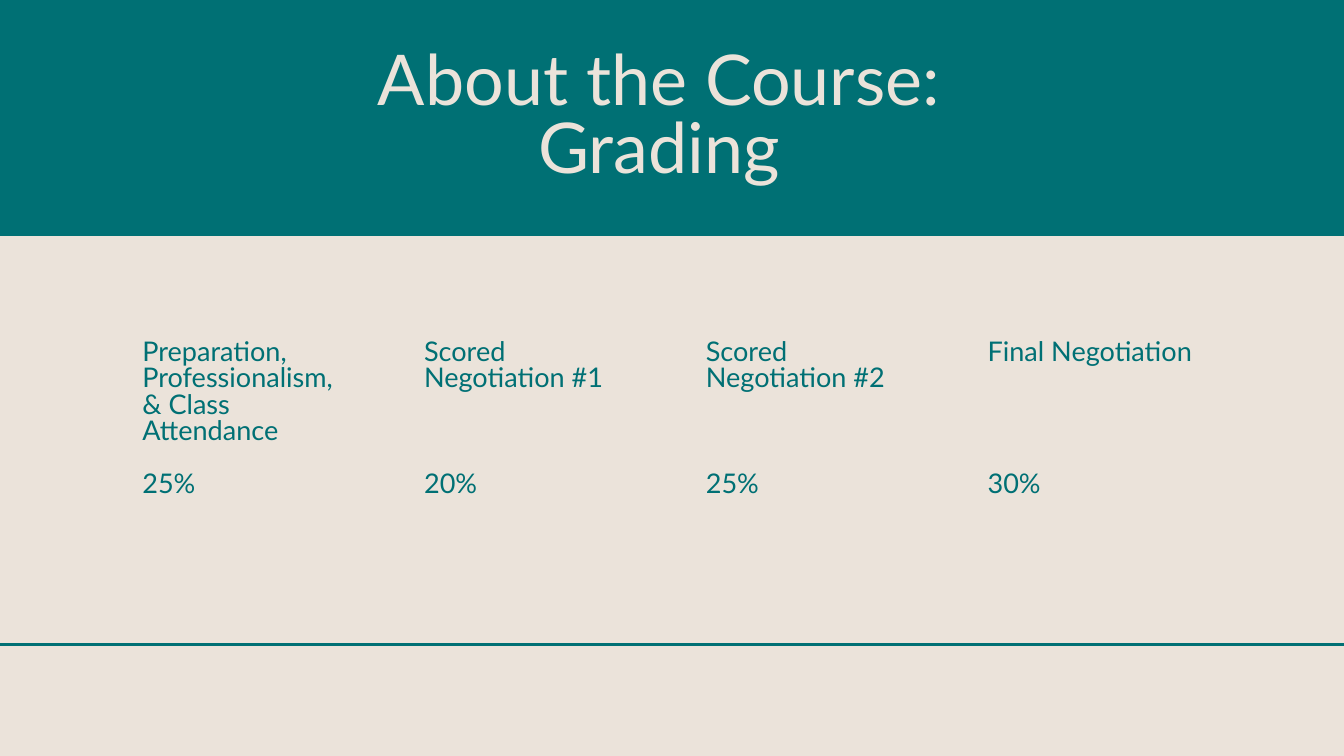
from lxml import etree
from pptx import Presentation
from pptx.dml.color import RGBColor
from pptx.enum.shapes import MSO_CONNECTOR, MSO_SHAPE
from pptx.enum.text import MSO_ANCHOR, PP_ALIGN
from pptx.oxml.ns import qn
from pptx.util import Cm, Pt

RECTANGLE = MSO_SHAPE.RECTANGLE
STRAIGHT = MSO_CONNECTOR.STRAIGHT
TOP = MSO_ANCHOR.TOP
LEFT, CENTER = PP_ALIGN.LEFT, PP_ALIGN.CENTER

TEAL, SAND = "007074", "EBE3DA"
FONT = "Lato"
LINE_PITCH = 28.2  # points between lines in the grading columns
WEIGHT_LINE = 5  # text lines above each percentage
COLUMN_STEP = 10.65

# heading, lines it takes, weight, box height in cm
GRADES = [
    ("Preparation, Professionalism, & Class Attendance", 4, "25%", 7.87),
    ("Scored Negotiation #1", 2, "20%", 5.92),
    ("Scored Negotiation #2", 2, "25%", 5.92),
    ("Final Negotiation", 1, "30%", 5.92),
]


def color(hex_string):
    return RGBColor.from_string(hex_string)


def add_text(slide, box, paragraphs, *, size, pitch, fill, align=LEFT, gap=0):
    """Place paragraphs in a text box; gap is the space between them in points."""
    shape = slide.shapes.add_textbox(*(Cm(value) for value in box))
    frame = shape.text_frame
    frame.word_wrap = True
    frame.vertical_anchor = TOP
    frame.margin_left = frame.margin_right = 0
    frame.margin_top = frame.margin_bottom = 0
    for index, text in enumerate(paragraphs):
        paragraph = frame.add_paragraph() if index else frame.paragraphs[0]
        paragraph.alignment = align
        paragraph.line_spacing = Pt(pitch)
        paragraph.space_before = Pt(gap if index else 0)
        run = paragraph.add_run()
        run.text = text
        run.font.name = FONT
        run.font.size = Pt(size)
        run.font.color.rgb = color(fill)
    return shape


def add_header(slide, left, top, width, height):
    # Band across the top
    band = slide.shapes.add_shape(RECTANGLE, Cm(left), Cm(top), Cm(width), Cm(height))
    band.shadow.inherit = False
    band.fill.solid()
    band.fill.fore_color.rgb = color(TEAL)
    band.line.fill.background()
    # Title
    add_text(slide, (left + 8.97, top + 2.29, 32.99, 5.26),
             ["About the Course:", "Grading"],
             size=75, pitch=72.8, fill=SAND, align=CENTER)


def add_grades(slide, left, top, width):
    for index, (heading, lines, weight, height) in enumerate(GRADES):
        # The gap brings every percentage to the same line
        add_text(slide, (left + index * COLUMN_STEP, top, width, height),
                 [heading, weight], size=29, pitch=LINE_PITCH, fill=TEAL,
                 gap=(WEIGHT_LINE - lines) * LINE_PITCH)


def add_footer_rule(slide, left, top, width):
    rule = slide.shapes.add_connector(
        STRAIGHT, Cm(left), Cm(top), Cm(left + width), Cm(top))
    rule.line.color.rgb = color(TEAL)
    rule.line.width = Pt(3.75)
    etree.SubElement(rule.line._get_or_add_ln().getparent(), qn("a:effectLst"))


def main():
    presentation = Presentation()
    presentation.slide_width = Cm(50.8)
    presentation.slide_height = Cm(28.575)
    slide = presentation.slides.add_slide(presentation.slide_layouts[6])
    slide.background.fill.solid()
    slide.background.fill.fore_color.rgb = color(SAND)

    add_header(slide, -0.56, -0.33, 51.94, 9.25)
    add_grades(slide, 5.38, 12.88, 8.08)
    add_footer_rule(slide, -0.84, 24.36, 56.69)

    presentation.save("out.pptx")


if __name__ == "__main__":
    main()
